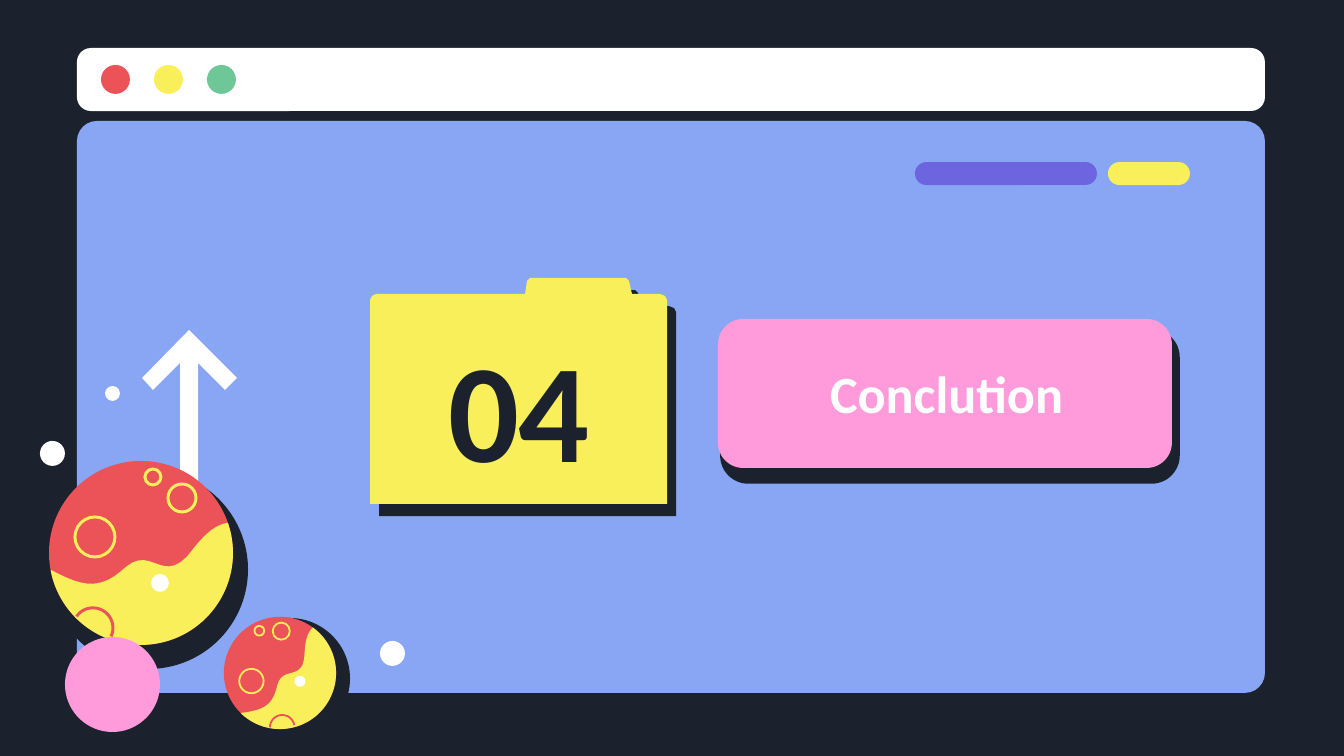
from dataclasses import dataclass
from math import cos, sin, radians

from lxml import etree
from pptx import Presentation
from pptx.dml.color import RGBColor
from pptx.enum.shapes import MSO_SHAPE
from pptx.enum.text import MSO_ANCHOR, MSO_AUTO_SIZE, PP_ALIGN
from pptx.oxml.ns import qn
from pptx.util import Pt

OVAL = MSO_SHAPE.OVAL
ROUND = MSO_SHAPE.ROUNDED_RECTANGLE
MIDDLE = MSO_ANCHOR.MIDDLE
FIXED = MSO_AUTO_SIZE.NONE
CENTER = PP_ALIGN.CENTER
PX = 914400 / 134.4


@dataclass
class Theme:
    dark: str = "1B222D"
    blue: str = "88A6F3"
    white: str = "FFFFFF"
    red: str = "EB5358"
    yellow: str = "F8EF5B"
    green: str = "6DC797"
    purple: str = "6D65E0"
    pink: str = "FF9BDA"
    font: str = "Calibri"
    number: int = 75
    title: int = 28


theme = Theme()
deck = Presentation()
deck.slide_width = round(1344 * PX)
deck.slide_height = round(756 * PX)
slide = deck.slides.add_slide(deck.slide_layouts[0])
shapes = slide.shapes
title, number = slide.placeholders
slide.background.fill.solid()
slide.background.fill.fore_color.rgb = RGBColor.from_string(theme.dark)


def add(kind, left, top, width, height, color, round_by=None):
    box = [round(v * PX) for v in (left, top, width, height)]
    shape = shapes.add_shape(kind, *box)
    shape.shadow.inherit = False
    shape.fill.solid()
    shape.fill.fore_color.rgb = RGBColor.from_string(color)
    shape.line.fill.background()
    if round_by is not None:
        shape.adjustments[0] = round_by
    return shape


def draw(points, color, closed=True):
    dots = [(x * PX, y * PX) for x, y in points]
    path = shapes.build_freeform(*dots[0])
    path.add_line_segments(dots[1:], close=closed)
    shape = path.convert_to_shape()
    shape.shadow.inherit = False
    if closed:
        shape.fill.solid()
        shape.fill.fore_color.rgb = RGBColor.from_string(color)
        shape.line.fill.background()
    else:
        shape.fill.background()
        shape.line.color.rgb = RGBColor.from_string(color)
    return shape


add(ROUND, 77, 121, 1188, 572, theme.blue, 0.035)
add(ROUND, 77, 48, 1188, 63, theme.white, 0.22)
for i, color in enumerate((theme.red, theme.yellow, theme.green)):
    add(OVAL, 101 + 53 * i, 65, 29, 29, color)
add(ROUND, 915, 162, 182, 23, theme.purple, 0.5)
add(ROUND, 1108, 162, 82, 23, theme.yellow, 0.5)
add(OVAL, 40, 441, 25, 25, theme.white)

arrow = [(180, 577), (180, 363), (153, 390), (142, 378), (189, 330),
         (237, 378), (225, 390), (198, 363), (198, 577)]
draw(arrow, theme.white)

back = add(ROUND, 723, 332, 454, 149, theme.dark, 0.17)
back.line.color.rgb = RGBColor.from_string(theme.dark)
back.line.width = Pt(3)
add(ROUND, 718, 319, 454, 149, theme.pink, 0.17)

outline = [(370, 504), (370, 300), (372, 296), (376, 294), (525, 294),
           (527, 281), (530, 278), (626, 278), (629, 281), (632, 294),
           (660, 294), (665, 296), (667, 300), (667, 504)]
folder = draw(outline, theme.yellow)
effects = folder._element.spPr.find(qn("a:effectLst"))
shadow = etree.SubElement(effects, qn("a:outerShdw"), blurRad="0",
                          dist=str(Pt(8.2)), dir=str(53 * 60000),
                          algn="bl", rotWithShape="0")
etree.SubElement(shadow, qn("a:srgbClr"), val=theme.dark)

for holder, words, box, size, color in (
    (number, "04", (405, 340, 228, 133), theme.number, theme.dark),
    (title, "Conclution", (732, 331, 429, 124), theme.title, theme.white),
):
    shapes._spTree.append(holder._element)
    holder.left, holder.top, holder.width, holder.height = [
        round(v * PX) for v in box]
    frame = holder.text_frame
    frame.text = words
    frame.word_wrap = True
    frame.auto_size = FIXED
    frame.vertical_anchor = MIDDLE
    frame.margin_left = frame.margin_right = Pt(7.2)
    frame.margin_top = frame.margin_bottom = Pt(7.2)
    line = frame.paragraphs[0]
    line.alignment = CENTER
    line.space_before = Pt(0)
    font = line.runs[0].font
    font.name = theme.font
    font.size = Pt(size)
    font.bold = True
    font.color.rgb = RGBColor.from_string(color)

waves = [
    [(-90, 17), (-55, 36), (-39, 36), (-15, 14)],
    [(-15, 14), (12, -9), (23, 37), (53, -5)],
    [(53, -5), (67, -23), (78, -29), (87, -30)],
]
land = []
for a, b, c, d in waves:
    for step in range(13):
        t = step / 12
        u = 1 - t
        land.append(tuple(
            u**3 * p + 3 * u * u * t * q + 3 * u * t * t * r + t**3 * s
            for p, q, r, s in zip(a, b, c, d)))
land += [(92 * cos(radians(g)), 92 * sin(radians(g)))
         for g in range(-18, 169, 3)]
rim = [(-48 + 20 * cos(radians(g)), 75 + 20 * sin(radians(g)))
       for g in range(215, 386, 5)]
rings = [(-46, -16, 20), (41, -55, 14), (12, -76, 8)]

for x, y, scale, turn, shade in (
    (141, 553, 1, 0, (49, 470, 199)),
    (280, 673, 0.61, -35, (229, 618, 121)),
):
    c, s = scale * cos(radians(turn)), scale * sin(radians(turn))
    left, top, size = shade
    add(OVAL, left, top, size, size, theme.dark)
    r = 92 * scale
    add(OVAL, x - r, y - r, 2 * r, 2 * r, theme.red)
    draw([(x + a * c - b * s, y + a * s + b * c) for a, b in land],
         theme.yellow)
    edge = draw([(x + a * c - b * s, y + a * s + b * c) for a, b in rim],
                theme.red, False)
    edge.line.width = Pt(1.6 * scale)
    for a, b, r in rings + [(19, 30, 9)]:
        mx, my, r = x + a * c - b * s, y + a * s + b * c, r * scale
        spot = add(OVAL, mx - r, my - r, 2 * r, 2 * r, theme.white)
        if (a, b) != (19, 30):
            spot.fill.background()
            spot.line.color.rgb = RGBColor.from_string(theme.yellow)
            spot.line.width = Pt(1.6 * scale)
    if scale == 1:
        add(OVAL, 65, 637, 95, 95, theme.pink)

add(OVAL, 380, 641, 25, 25, theme.white)
add(OVAL, 105, 386, 15, 15, theme.white)

deck.save("out.pptx")
